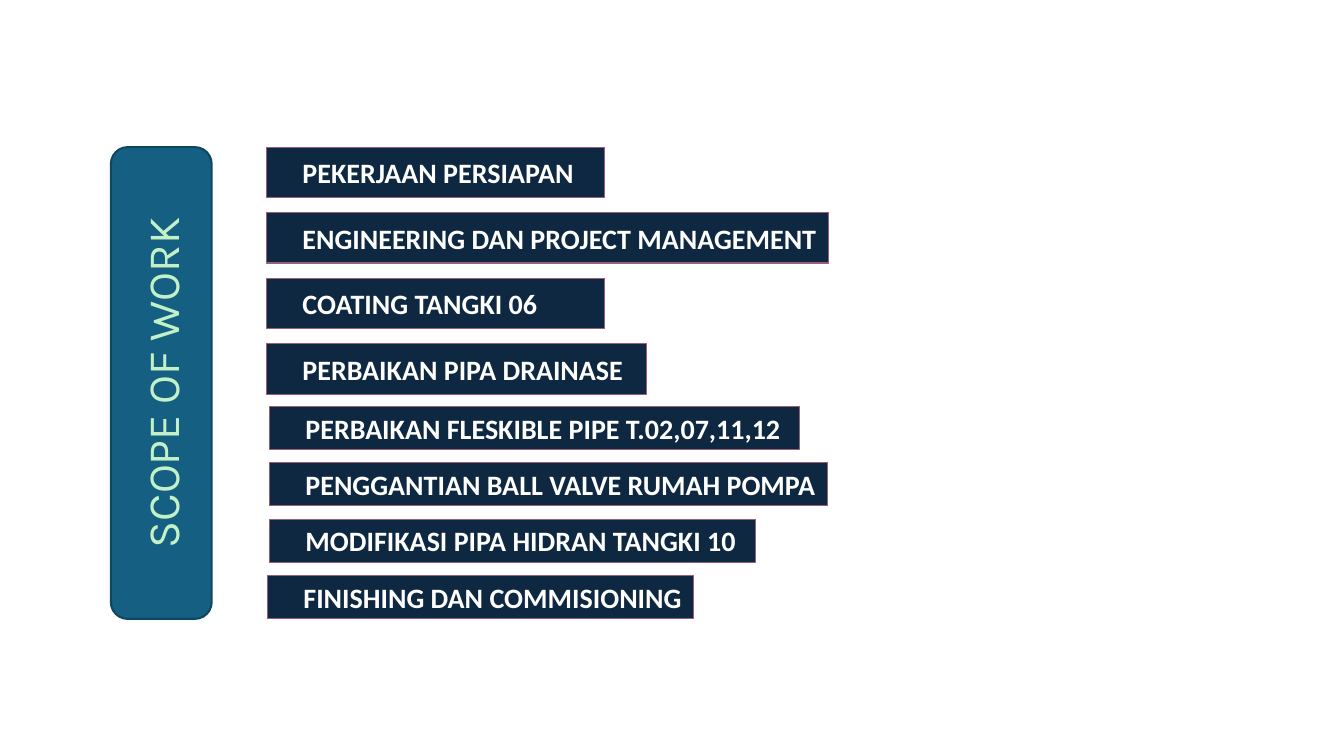
import pptx
import pptx.util
import pptx.dml.color
import pptx.enum.shapes
import pptx.enum.text

Inches, Pt = pptx.util.Inches, pptx.util.Pt
SHAPE = pptx.enum.shapes.MSO_SHAPE
TEXT = pptx.enum.text

COLORS = {
    "navy": "0E2841", "plum": "96607D", "white": "FFFFFF",
    "teal": "156082", "edge": "104760", "mint": "C2F1C8",
}

# Each group: top, row pitch, bar height, then (left, width, label) per bar
GROUPS = [
    (1.46, 0.65, 0.5, [
        (2.64, 3.36, "PEKERJAAN PERSIAPAN"),
        (2.64, 5.58, "ENGINEERING DAN PROJECT MANAGEMENT"),
        (2.64, 3.36, "COATING TANGKI 06"),
        (2.64, 3.77, "PERBAIKAN PIPA DRAINASE"),
    ]),
    (4.03, 0.56, 0.43, [
        (2.67, 5.26, "PERBAIKAN FLESKIBLE PIPE T.02,07,11,12"),
        (2.67, 5.54, "PENGGANTIAN BALL VALVE RUMAH POMPA"),
        (2.67, 4.82, "MODIFIKASI PIPA HIDRAN TANGKI 10"),
        (2.65, 4.23, "FINISHING DAN COMMISIONING"),
    ]),
]


def color(name):
    return pptx.dml.color.RGBColor.from_string(COLORS[name])


def add_box(slide, kind, place, fill, line, weight):
    """Add a flat filled shape with an outline."""
    box = slide.shapes.add_shape(kind, *map(Inches, place))
    box.shadow.inherit = False
    box.fill.solid()
    box.fill.fore_color.rgb = color(fill)
    box.line.color.rgb = color(line)
    box.line.width = Pt(weight)
    return box


def set_text(box, text, size, font, ink, align, bold=False):
    """Write one line of text, centred in height."""
    frame = box.text_frame
    frame.vertical_anchor = TEXT.MSO_ANCHOR.MIDDLE
    line = frame.paragraphs[0]
    line.text = text
    line.alignment = align
    line.font.size = Pt(size)
    line.font.name = font
    line.font.bold = bold
    line.font.color.rgb = color(ink)


def add_bar(slide, place, label):
    bar = add_box(slide, SHAPE.RECTANGLE, place, "navy", "plum", 0.75)
    set_text(bar, label, 20, "Calibri", "white", TEXT.PP_ALIGN.LEFT, True)
    bar.text_frame.margin_left = Inches(0.36)
    bar.text_frame.margin_right = 0


def add_banner(slide, place, label):
    banner = add_box(slide, SHAPE.ROUNDED_RECTANGLE, place, "teal", "edge", 1.5)
    set_text(banner, label, 32, "Karla", "mint", TEXT.PP_ALIGN.CENTER)
    # Text reads from bottom to top
    body = banner.text_frame._txBody.bodyPr
    body.set("vert", "vert270")


def main():
    deck = pptx.Presentation()
    deck.slide_width, deck.slide_height = Inches(13.33), Inches(7.5)
    slide = deck.slides.add_slide(deck.slide_layouts[6])

    # Work items
    for top, pitch, height, bars in GROUPS:
        for row, (left, width, label) in enumerate(bars):
            add_bar(slide, (left, top + row * pitch, width, height), label)

    # Side banner
    add_banner(slide, (1.1, 1.46, 1, 4.68), "SCOPE OF WORK")

    deck.save("out.pptx")


if __name__ == "__main__":
    main()
